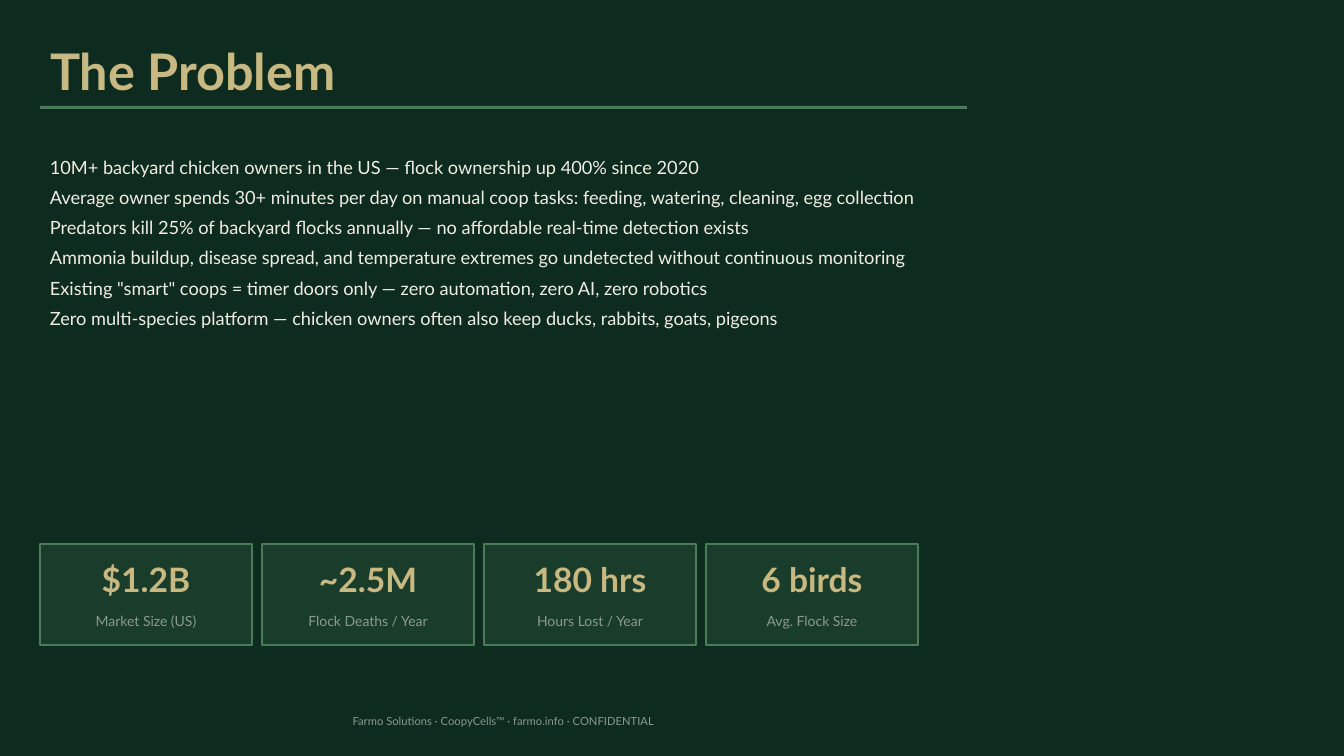
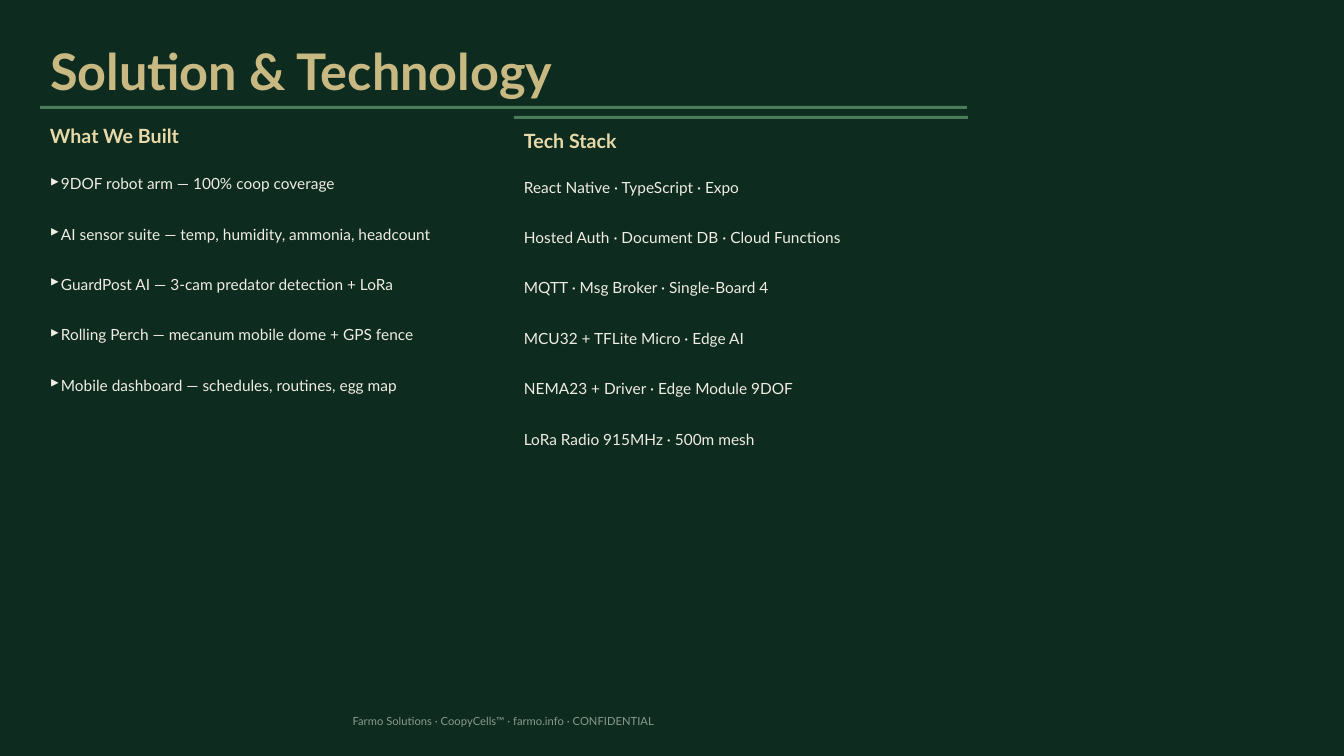
from dataclasses import dataclass

from lxml import etree
from pptx import Presentation
from pptx.dml.color import RGBColor
from pptx.enum.shapes import MSO_SHAPE
from pptx.enum.text import MSO_ANCHOR, MSO_AUTO_SIZE, PP_ALIGN
from pptx.oxml.ns import qn
from pptx.util import Emu, Pt

EMU_PER_PX = 914400 / 100.8


@dataclass(frozen=True)
class Style:
    """Look of one kind of text."""
    size: int
    color: str
    bold: bool = False


@dataclass(frozen=True)
class Theme:
    """Colours, font and text styles of the deck."""
    font: str = "Lato"
    background: str = "0D2B1E"
    card: str = "1A3D2B"
    accent: str = "4A7C59"
    title: Style = Style(36, "C8B882", True)
    figure: Style = Style(24, "C8B882", True)
    heading: Style = Style(14, "E8D9A8", True)
    body: Style = Style(13, "F0EDE4")
    item: Style = Style(11, "F0EDE4")
    label: Style = Style(10, "8A9B8E")
    footer: Style = Style(8, "8A9B8E")


THEME = Theme()
LEFT, CONTENT_WIDTH = 40, 927
COLUMN_WIDTH, RIGHT_COLUMN = 454, 514
ITEM_PITCH = 50.4
RULE_HEIGHT = 3
FOOTER = "Farmo Solutions · CoopyCells™ · farmo.info · CONFIDENTIAL"

PROBLEMS = [
    "10M+ backyard chicken owners in the US — flock ownership up 400% since 2020",
    "Average owner spends 30+ minutes per day on manual coop tasks: feeding, watering, cleaning, egg collection",
    "Predators kill 25% of backyard flocks annually — no affordable real-time detection exists",
    "Ammonia buildup, disease spread, and temperature extremes go undetected without continuous monitoring",
    'Existing "smart" coops = timer doors only — zero automation, zero AI, zero robotics',
    "Zero multi-species platform — chicken owners often also keep ducks, rabbits, goats, pigeons",
]
STATS = [
    ("$1.2B", "Market Size (US)"),
    ("~2.5M", "Flock Deaths / Year"),
    ("180 hrs", "Hours Lost / Year"),
    ("6 birds", "Avg. Flock Size"),
]
BUILT = [
    "9DOF robot arm — 100% coop coverage",
    "AI sensor suite — temp, humidity, ammonia, headcount",
    "GuardPost AI — 3-cam predator detection + LoRa",
    "Rolling Perch — mecanum mobile dome + GPS fence",
    "Mobile dashboard — schedules, routines, egg map",
]
TECH_STACK = [
    "React Native · TypeScript · Expo",
    "Hosted Auth · Document DB · Cloud Functions",
    "MQTT · Msg Broker · Single-Board 4",
    "MCU32 + TFLite Micro · Edge AI",
    "NEMA23 + Driver · Edge Module 9DOF",
    "LoRa Radio 915MHz · 500m mesh",
]


def px(length):
    """Turn pixels into EMU."""
    return Emu(round(length * EMU_PER_PX))


def rgb(value):
    """Turn a hex string into a colour."""
    return RGBColor.from_string(value)


def place(shape, left, top, width, height):
    """Move and size a shape, in pixels."""
    shape.left, shape.top = px(left), px(top)
    shape.width, shape.height = px(width), px(height)


def write(shape, lines, style, align=PP_ALIGN.LEFT, anchor=MSO_ANCHOR.MIDDLE, after=0):
    """Fill a shape with one styled paragraph per line."""
    frame = shape.text_frame
    frame.word_wrap = True
    frame.auto_size = MSO_AUTO_SIZE.NONE
    frame.vertical_anchor = anchor
    frame.text = "\n".join(lines)
    for paragraph in frame.paragraphs:
        paragraph.alignment = align
        paragraph.space_after = Pt(after)
        font = paragraph.runs[0].font
        font.name, font.size, font.bold = THEME.font, Pt(style.size), style.bold
        font.color.rgb = rgb(style.color)


def add_text(slide, box, lines, style, **layout):
    """Add a text box and return it."""
    shape = slide.shapes.add_textbox(*map(px, box))
    write(shape, lines, style, **layout)
    return shape


def add_box(slide, box, fill, line=None):
    """Add a flat rectangle, outlined if a line colour is given."""
    shape = slide.shapes.add_shape(MSO_SHAPE.RECTANGLE, *map(px, box))
    shape.shadow.inherit = False
    shape.fill.solid()
    shape.fill.fore_color.rgb = rgb(fill)
    if line:
        shape.line.color.rgb = rgb(line)
        shape.line.width = Pt(1.5)
    else:
        shape.line.fill.background()


def add_rule(slide, left, top, width):
    """Add a thin accent bar."""
    add_box(slide, (left, top, width, RULE_HEIGHT), THEME.accent)


def set_bullet(paragraph, indent=11, char="▸"):
    """Give a paragraph a hanging bullet."""
    properties = paragraph._p.get_or_add_pPr()
    properties.set("marL", str(px(indent)))
    properties.set("indent", str(-px(indent)))
    etree.SubElement(properties, qn("a:buChar")).set("char", char)


def add_items(slide, left, top, height, items, bulleted=False):
    """Stack single-line items at an even pitch."""
    for row, item in enumerate(items):
        box = (left, top + row * ITEM_PITCH, COLUMN_WIDTH, height)
        shape = add_text(slide, box, [item], THEME.item)
        if bulleted:
            set_bullet(shape.text_frame.paragraphs[0])


def add_stat_card(slide, left, figure, label):
    """Add a card with a large figure over its label."""
    top, width = 544, 212
    add_box(slide, (left, top, width, 101), THEME.card, THEME.accent)
    add_text(slide, (left, top + 8, width, 55), [figure], THEME.figure, align=PP_ALIGN.CENTER)
    add_text(slide, (left, top + 61, width, 32), [label], THEME.label, align=PP_ALIGN.CENTER)


def add_slide(prs, title):
    """Add a slide with the shared title, rule and footer."""
    slide = prs.slides.add_slide(prs.slide_layouts.get_by_name("Title Only"))
    place(slide.shapes.title, LEFT, 35, CONTENT_WIDTH, 71)
    write(slide.shapes.title, [title], THEME.title)
    add_rule(slide, LEFT, 106, CONTENT_WIDTH)
    add_text(slide, (LEFT, 711, CONTENT_WIDTH, 20), [FOOTER], THEME.footer, align=PP_ALIGN.CENTER)
    return slide


def build_problem(prs):
    """Build the problem slide: statements and a row of figures."""
    slide = add_slide(prs, "The Problem")
    add_text(slide, (LEFT, 151, CONTENT_WIDTH, 504), PROBLEMS, THEME.body,
             anchor=MSO_ANCHOR.TOP, after=6)
    for column, (figure, label) in enumerate(STATS):
        add_stat_card(slide, LEFT + column * 222, figure, label)


def build_solution(prs):
    """Build the solution slide: two columns of items."""
    slide = add_slide(prs, "Solution & Technology")
    add_text(slide, (LEFT, 116, COLUMN_WIDTH, 40), ["What We Built"], THEME.heading)
    add_items(slide, LEFT, 161, 45, BUILT, bulleted=True)
    add_rule(slide, RIGHT_COLUMN, 116, COLUMN_WIDTH)
    add_text(slide, (RIGHT_COLUMN, 121, COLUMN_WIDTH, 40), ["Tech Stack"], THEME.heading)
    add_items(slide, RIGHT_COLUMN, 166, 42, TECH_STACK)


def main():
    """Build and save the deck."""
    prs = Presentation()
    prs.slide_width, prs.slide_height = px(1344), px(756)
    fill = prs.slide_master.background.fill
    fill.solid()
    fill.fore_color.rgb = rgb(THEME.background)
    build_problem(prs)
    build_solution(prs)
    prs.save("out.pptx")


main()
